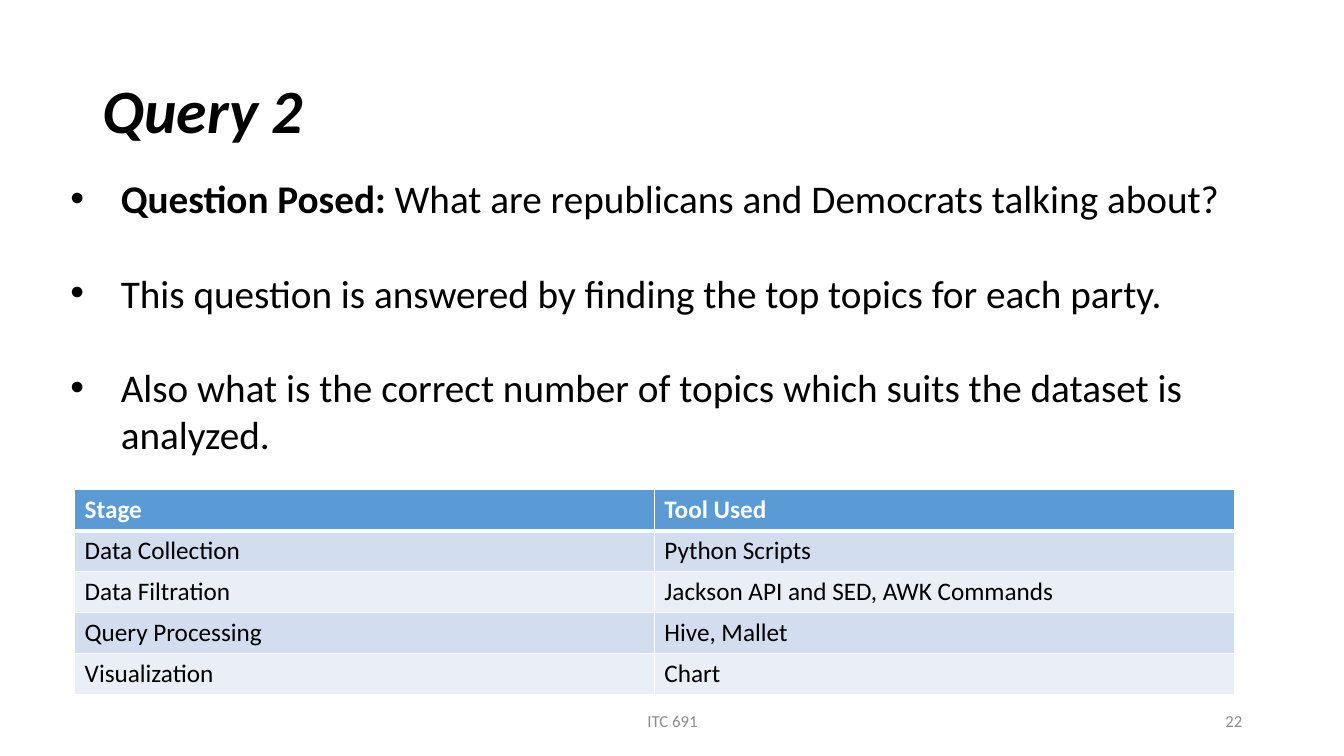
import pptx
import pptx.dml.color
import pptx.enum.text
import pptx.oxml
import pptx.oxml.ns
import pptx.util
from pptx.util import Inches

COLORS = {
    "text": "000000",
    "footer": "8C8C8C",
    "white": "FFFFFF",
    "header": "5B9BD5",
    "odd_row": "D2DEEF",
    "even_row": "EAEFF7",
}
ALIGN = pptx.enum.text.PP_ALIGN
ANCHOR = pptx.enum.text.MSO_ANCHOR


def add_run(paragraph, text, size, color, bold=False, italic=False):
    run = paragraph.add_run()
    run.text = text
    run.font.name = "Calibri"
    run.font.size = pptx.util.Pt(size)
    run.font.bold = bold
    run.font.italic = italic
    run.font.color.rgb = pptx.dml.color.RGBColor.from_string(COLORS[color])


def add_text_frame(left, top, width, height, anchor):
    """Add a wrapping text box and return its text frame."""
    box = slide.shapes.add_textbox(Inches(left), Inches(top), Inches(width), Inches(height))
    box.text_frame.word_wrap = True
    box.text_frame.vertical_anchor = anchor
    return box.text_frame


presentation = pptx.Presentation()
presentation.slide_width = Inches(13.33)
presentation.slide_height = Inches(7.5)
slide = presentation.slides.add_slide(presentation.slide_layouts[6])

# Title
title = add_text_frame(0.92, 0.4, 11.5, 1.45, ANCHOR.MIDDLE).paragraphs[0]
title.line_spacing = 0.9
add_run(title, "Query 2", 44, "text", bold=True, italic=True)

# Footer and slide number
for left, width, alignment, text in [
    (4.42, 4.5, ALIGN.CENTER, "ITC 691"),
    (9.42, 3, ALIGN.RIGHT, "22"),
]:
    footer = add_text_frame(left, 6.95, width, 0.4, ANCHOR.MIDDLE).paragraphs[0]
    footer.alignment = alignment
    add_run(footer, text, 12, "footer")

# Bullets: each is a bold lead followed by plain text
bullets = [
    ("Question Posed: ", "What are republicans and Democrats talking about?"),
    ("", "This question is answered by finding the top topics for each party."),
    ("", "Also what is the correct number of topics which suits the dataset is analyzed."),
]
body = add_text_frame(0.6, 1.68, 11.63, 2.93, ANCHOR.TOP)
for index, (lead, text) in enumerate(bullets):
    paragraph = body.paragraphs[0] if index == 0 else body.add_paragraph()
    if index:
        paragraph.space_before = pptx.util.Pt(34)
    properties = paragraph._p.get_or_add_pPr()
    properties.set("marL", str(Inches(0.5)))
    properties.set("indent", str(-Inches(0.5)))
    namespace = pptx.oxml.ns.nsdecls("a")
    properties.append(pptx.oxml.parse_xml(f'<a:buFont {namespace} typeface="Arial"/>'))
    properties.append(pptx.oxml.parse_xml(f'<a:buChar {namespace} char="•"/>'))
    if lead:
        add_run(paragraph, lead, 28, "text", bold=True)
    add_run(paragraph, text, 28, "text")

# Table of tools
rows = [
    ("Stage", "Tool Used"),
    ("Data Collection", "Python Scripts"),
    ("Data Filtration", "Jackson API and SED, AWK Commands"),
    ("Query Processing", "Hive, Mallet"),
    ("Visualization", "Chart"),
]
table = slide.shapes.add_table(
    len(rows), 2, Inches(0.74), Inches(4.86), Inches(11.5), Inches(2.03)
).table
for row_index, row in enumerate(rows):
    is_header = row_index == 0
    fill = "header" if is_header else ("even_row", "odd_row")[row_index % 2]
    for column_index, text in enumerate(row):
        cell = table.cell(row_index, column_index)
        cell_properties = cell._tc.get_or_add_tcPr()
        for side in "LRTB":
            thick = (is_header and side == "B") or (row_index == 1 and side == "T")
            cell_properties.append(pptx.oxml.parse_xml(
                f'<a:ln{side} {pptx.oxml.ns.nsdecls("a")} w="{pptx.util.Pt(3 if thick else 1)}">'
                f'<a:solidFill><a:srgbClr val="{COLORS["white"]}"/></a:solidFill></a:ln{side}>'
            ))
        cell.fill.solid()
        cell.fill.fore_color.rgb = pptx.dml.color.RGBColor.from_string(COLORS[fill])
        add_run(cell.text_frame.paragraphs[0], text, 18,
                "white" if is_header else "text", bold=is_header)

presentation.save("out.pptx")
